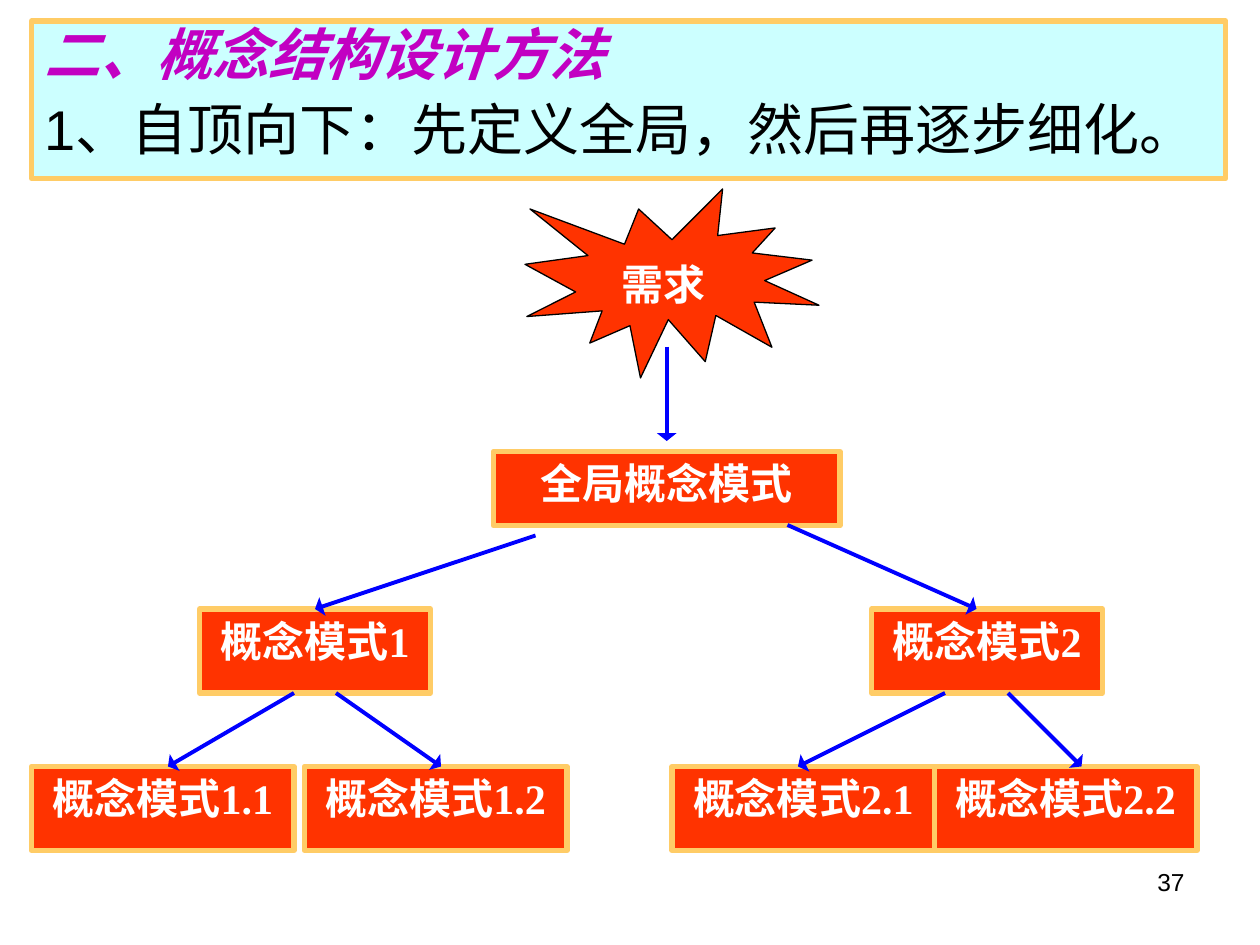
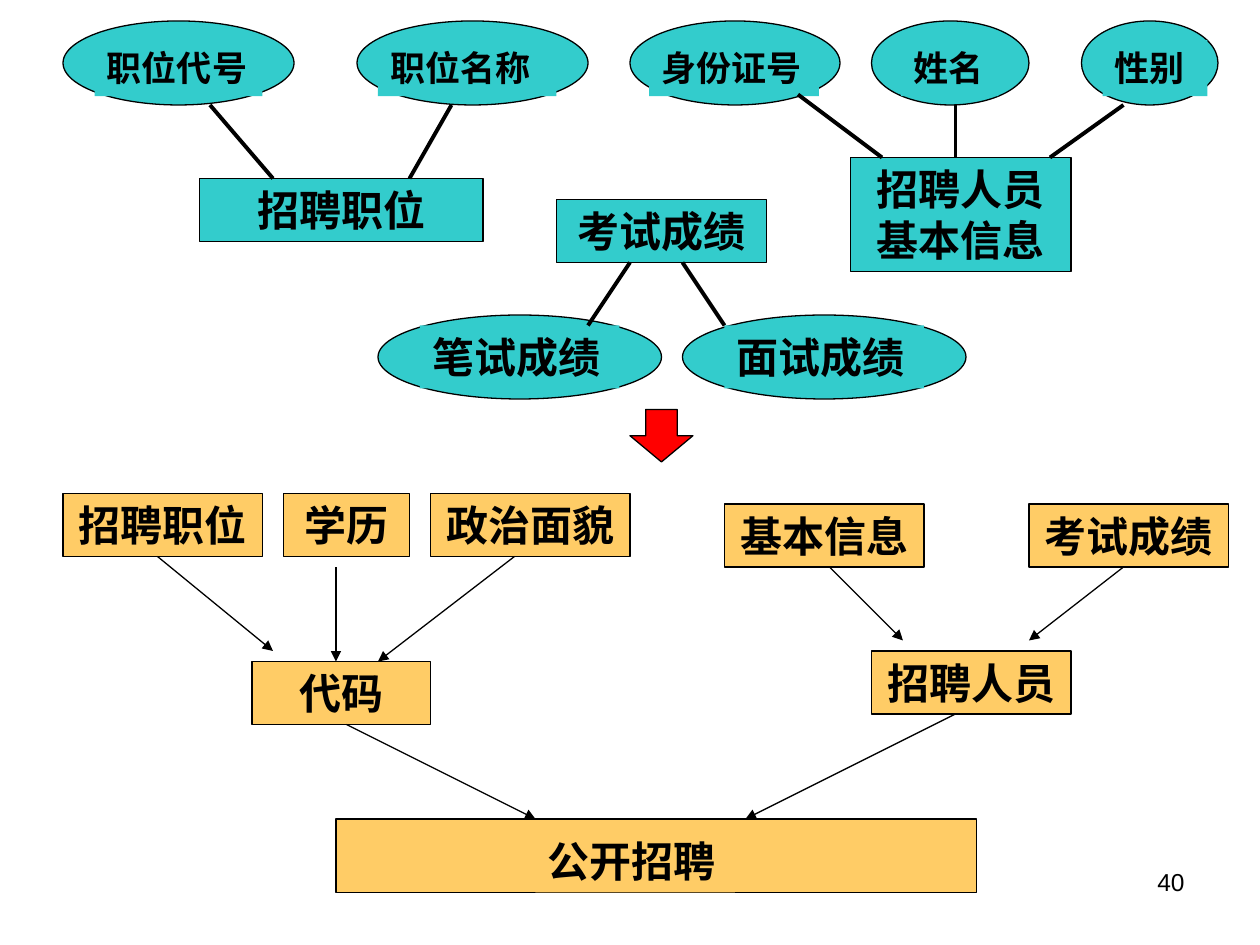
"""Build two slides on top-down concept design and recruitment diagrams."""
from lxml.etree import SubElement
from pptx import Presentation
from pptx.dml.color import RGBColor
from pptx.enum.shapes import MSO_CONNECTOR as CONNECTOR, MSO_SHAPE as SHAPE
from pptx.enum.text import MSO_ANCHOR as ANCHOR, MSO_AUTO_SIZE as AUTO_SIZE, PP_ALIGN as ALIGN
from pptx.oxml.ns import qn
from pptx.util import Pt

rgb = RGBColor.from_string
BLACK, WHITE, BLUE, PURPLE = "000000", "FFFFFF", "0000FF", "C200C2"
RED, ORANGE, AMBER, TEAL, PALE = "FF0000", "FF3300", "FFCC66", "33CCCC", "CCFFFF"


def write(box, text, size=24, color=BLACK, font="Times New Roman", bold=True,
          italic=False, align=ALIGN.CENTER, more=False):
    """Write one formatted paragraph at the top of a box, or below its text."""
    frame = box.text_frame
    frame.word_wrap = True
    frame.auto_size = AUTO_SIZE.NONE
    frame.vertical_anchor = ANCHOR.TOP
    para = frame.add_paragraph() if more else frame.paragraphs[0]
    para.alignment = align
    span = para.add_run()
    span.text = text
    span.font.name = font
    span.font.size = Pt(size)
    span.font.bold = bold
    span.font.italic = italic
    span.font.color.rgb = rgb(color)
    return para


def add_box(page, kind, place, fill, line=None, weight=0.75):
    """Add a flat filled shape, outlined when a line colour is given."""
    box = page.shapes.add_shape(kind, *map(Pt, place))
    box.shadow.inherit = False
    box.fill.solid()
    box.fill.fore_color.rgb = rgb(fill)
    if line:
        box.line.color.rgb = rgb(line)
        box.line.width = Pt(weight)
    else:
        box.line.fill.background()
    return box


deck = Presentation()
deck.slide_width, deck.slide_height = Pt(720), Pt(540)
design = deck.slides.add_slide(deck.slide_layouts[5])
recruitment = deck.slides.add_slide(deck.slide_layouts[6])

for page, number in ((design, "37"), (recruitment, "40")):
    box = page.shapes.add_textbox(Pt(516), Pt(492), Pt(168), Pt(37.5))
    write(box, number, size=14, font="Arial", bold=False, align=ALIGN.RIGHT)

title = design.shapes.title
title.left, title.top, title.width, title.height = Pt(18), Pt(12), Pt(682.5), Pt(90)
title.fill.solid()
title.fill.fore_color.rgb = rgb(PALE)
title.line.color.rgb = rgb(AMBER)
title.line.width = Pt(3)
heading = write(title, "二、概念结构设计方法", size=32, color=PURPLE, font="Arial",
                italic=True, align=ALIGN.LEFT)
method = write(title, "1、自顶向下：先定义全局，然后再逐步细化。", size=32, font="Arial",
               bold=False, align=ALIGN.LEFT, more=True)
heading.line_spacing = method.line_spacing = 0.9
method.space_before = Pt(8)

add_box(design, SHAPE.EXPLOSION1, (300, 108, 168, 108), ORANGE, BLACK)
demand = add_box(design, SHAPE.RECTANGLE, (348, 144, 72, 36), ORANGE)
write(demand, "需求", color=WHITE, align=ALIGN.LEFT)

modes = [
    ("全局概念模式", 282, 258, 198, 42.5),
    ("概念模式1", 114, 348, 132, 48),
    ("概念模式2", 498, 348, 132, 48),
    ("概念模式1.1", 18, 438, 150, 48),
    ("概念模式1.2", 174, 438, 150, 48),
    ("概念模式2.1", 384, 438, 150, 48),
    ("概念模式2.2", 534, 438, 150, 48),
]
for text, *place in modes:
    write(add_box(design, SHAPE.RECTANGLE, place, ORANGE, AMBER, 3), text, color=WHITE)

add_box(recruitment, SHAPE.DOWN_ARROW, (360, 234, 36, 30), RED, BLACK)
add_box(recruitment, SHAPE.RECTANGLE, (192, 468, 366, 42), AMBER, BLACK)
goal = add_box(recruitment, SHAPE.RECTANGLE, (306, 474, 114, 36), AMBER)
write(goal, "公开招聘", align=ALIGN.LEFT)

entities = [
    ("代码", AMBER, 144, 378, 102, 36),
    ("招聘人员", AMBER, 498, 372, 114, 36),
    ("招聘职位", AMBER, 36, 282, 114, 36),
    ("学历", AMBER, 162, 282, 72, 36),
    ("政治面貌", AMBER, 246, 282, 114, 36),
    ("基本信息", AMBER, 414, 288, 114, 36),
    ("考试成绩", AMBER, 588, 288, 114, 36),
    ("招聘职位", TEAL, 114, 102, 162, 36),
    ("招聘人员基本信息", TEAL, 486, 90, 126, 65),
    ("考试成绩", TEAL, 318, 114, 120, 36),
]
for text, fill, *place in entities:
    write(add_box(recruitment, SHAPE.RECTANGLE, place, fill, BLACK), text)

attributes = [
    ("职位代号", 20, (36, 12, 132, 48), (54, 23, 96, 32)),
    ("职位名称", 20, (204, 12, 132, 48), (216, 23, 102, 32)),
    ("身份证号", 20, (360, 12, 120, 48), (371, 23, 97, 32)),
    ("姓名", 20, (498, 12, 90, 48), (515, 23, 55.5, 32)),
    ("性别", 20, (618, 12, 78, 48), (630, 23, 60, 32)),
    ("笔试成绩", 24, (216, 180, 162, 48), (240, 186, 114, 36)),
    ("面试成绩", 24, (390, 180, 162, 48), (414, 186, 114, 36)),
]
for text, size, oval, label in attributes:
    add_box(recruitment, SHAPE.OVAL, oval, TEAL, BLACK)
    write(add_box(recruitment, SHAPE.RECTANGLE, label, TEAL), text, size=size, align=ALIGN.LEFT)

refinements = [
    (381, 198, 381, 252), (306, 306, 180, 348), (450, 300, 558, 348), (168, 396, 96, 438),
    (192, 396, 252, 438), (540, 396, 456, 438), (576, 396, 618, 438),
]
merges = [
    (90, 318, 156, 372), (192, 324, 192, 378), (294, 318, 216, 378), (474, 324, 516, 366),
    (642, 324, 588, 366), (198, 414, 306, 468), (546, 408, 426, 468),
]
attribute_links = [
    (120, 60, 156, 102), (258, 60, 234, 102), (456, 54, 504, 90), (546, 60, 546, 90),
    (642, 60, 600, 90), (360, 150, 336, 186), (390, 150, 414, 186),
]
link_sets = [
    (design, refinements, BLUE, 2.25, {"type": "triangle", "w": "lg", "len": "sm"}),
    (recruitment, merges, BLACK, 0.75, {"type": "triangle"}),
    (recruitment, attribute_links, BLACK, 2.25, None),
]
for page, links, color, weight, arrowhead in link_sets:
    for ends in links:
        link = page.shapes.add_connector(CONNECTOR.STRAIGHT, *map(Pt, ends))
        link.line.color.rgb = rgb(color)
        link.line.width = Pt(weight)
        if arrowhead:
            SubElement(link.line._get_or_add_ln(), qn("a:tailEnd"), arrowhead)
        SubElement(link._element.spPr, qn("a:effectLst"))

deck.save("out.pptx")
